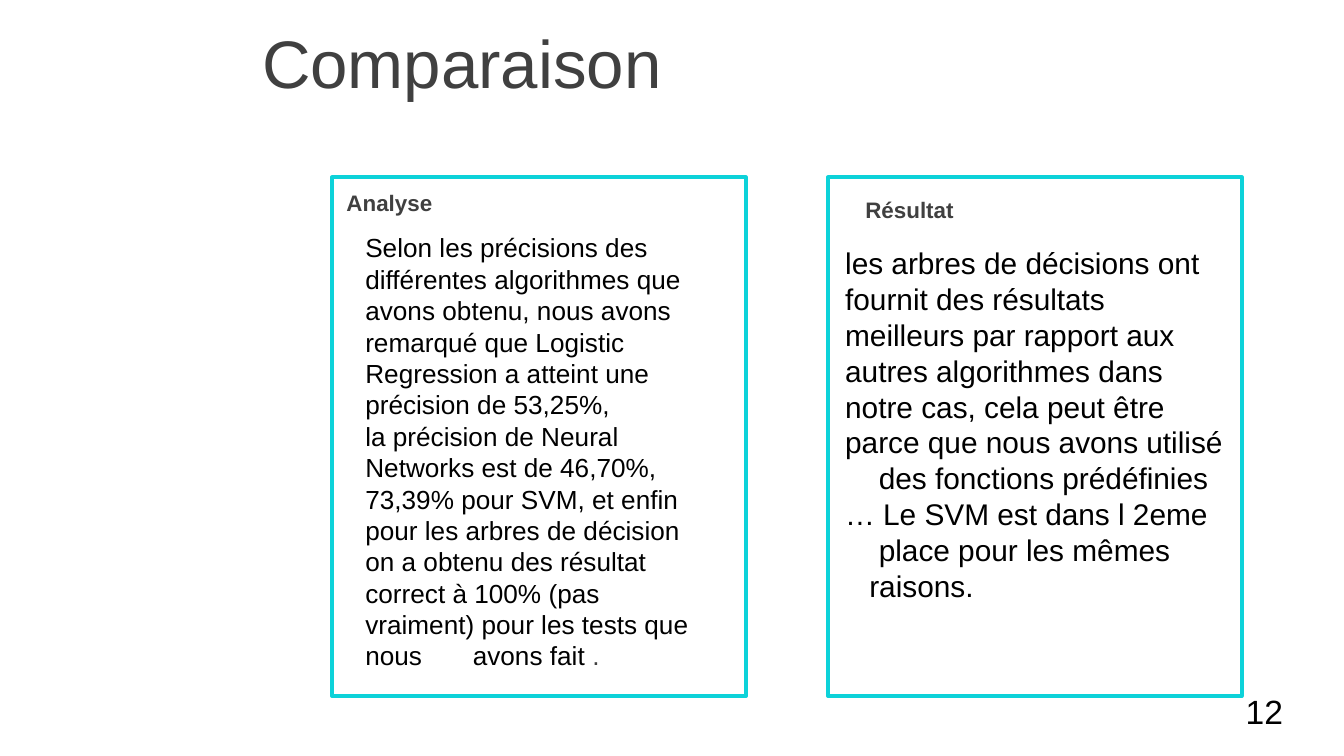
import pptx
import pptx.dml.color
import pptx.enum.shapes
import pptx.enum.text
import pptx.oxml
import pptx.oxml.ns
import pptx.util
from pptx.util import Inches

COLORS = {"text": "000000", "heading": "404040", "frame": "0DD2D9"}
FONT = "Arial"
MIDDLE = pptx.enum.text.MSO_ANCHOR.MIDDLE

ANALYSIS = (
    "Selon les précisions des différentes algorithmes que avons obtenu, "
    "nous avons remarqué que Logistic Regression a atteint une précision de 53,25%,\v"
    "la précision de Neural Networks est de 46,70%, 73,39% pour SVM, et enfin "
    "pour les arbres de décision\von a obtenu des résultat correct à 100% (pas\v"
    "vraiment) pour les tests que nous\tavons fait "
)
# Text and left indent in inches
RESULT = [
    ("les arbres de décisions ont fournit des résultats\vmeilleurs par rapport aux "
     "autres algorithmes dans notre cas, cela peut être parce que nous avons utilisé", 0),
    ("des fonctions prédéfinies", 0.25),
    ("… Le SVM est dans l 2eme", 0),
    ("place pour les mêmes", 0.25),
    ("raisons.", 0.18),
]


def rgb(name):
    return pptx.dml.color.RGBColor.from_string(COLORS[name])


def style(paragraph, size, color, bold=False):
    paragraph.alignment = pptx.enum.text.PP_ALIGN.LEFT
    font = paragraph.font
    font.name, font.size, font.bold = FONT, pptx.util.Pt(size), bold
    font.color.rgb = rgb(color)


def add_title(slide, text):
    title = slide.shapes.title
    title.left, title.top = Inches(1.85), Inches(0.14)
    title.width, title.height = Inches(8.15), Inches(0.63)
    title.text_frame.text = text
    title.text_frame.vertical_anchor = MIDDLE
    title.text_frame.auto_size = pptx.enum.text.MSO_AUTO_SIZE.NONE
    style(title.text_frame.paragraphs[0], 36, "heading")


def add_frame(slide, left):
    shape = slide.shapes.add_shape(
        pptx.enum.shapes.MSO_SHAPE.RECTANGLE,
        Inches(left), Inches(1.32), Inches(3.08), Inches(3.86))
    shape.shadow.inherit = False
    shape.fill.background()
    shape.line.color.rgb = rgb("frame")
    shape.line.width = pptx.util.Pt(2)


def add_text(slide, box, lines, size, color="text", bold=False, anchor=MIDDLE):
    """Add one paragraph per (text, indent) pair."""
    shape = slide.shapes.add_textbox(*[Inches(value) for value in box])
    frame = shape.text_frame
    frame.word_wrap = True
    frame.vertical_anchor = anchor
    for index, (text, indent) in enumerate(lines):
        paragraph = frame.add_paragraph() if index else frame.paragraphs[0]
        paragraph.text = text
        style(paragraph, size, color, bold)
        if indent:
            paragraph._p.get_or_add_pPr().set("marL", str(Inches(indent)))
    return frame


def add_tab_stop(paragraph, position):
    namespace = pptx.oxml.ns.nsdecls("a")
    tabs = pptx.oxml.parse_xml(
        f'<a:tabLst {namespace}><a:tab pos="{Inches(position)}" algn="l"/></a:tabLst>')
    properties = paragraph._p.get_or_add_pPr()
    # Tab stops come before the default run properties
    properties.insert(len(properties) - 1, tabs)


def main():
    presentation = pptx.Presentation()
    # Widescreen, 16:9
    presentation.slide_width = Inches(10)
    presentation.slide_height = Inches(10) * 9 // 16
    slide = presentation.slides.add_slide(presentation.slide_layouts[5])
    add_title(slide, "Comparaison")

    # Analysis panel
    add_frame(slide, 2.47)
    analysis = add_text(slide, (2.62, 1.66, 2.77, 3.4), [(ANALYSIS, 0)], 14)
    paragraph = analysis.paragraphs[0]
    add_tab_stop(paragraph, 0.8)
    period = paragraph.add_run()
    period.text = "."
    period.font.color.rgb = rgb("heading")
    add_text(slide, (2.48, 1.36, 2.63, 0.3), [("Analyse", 0)], 12, "heading", True)

    # Result panel
    add_frame(slide, 6.16)
    add_text(slide, (6.19, 1.76, 3.08, 2.79), RESULT, 16)
    add_text(slide, (6.34, 1.41, 2.21, 0.3), [("Résultat", 0)], 12, "heading", True)

    # Page number
    add_text(slide, (9.17, 5.09, 0.55, 0.4), [("12", 0)], 18,
             anchor=pptx.enum.text.MSO_ANCHOR.TOP)
    presentation.save("out.pptx")


if __name__ == "__main__":
    main()
